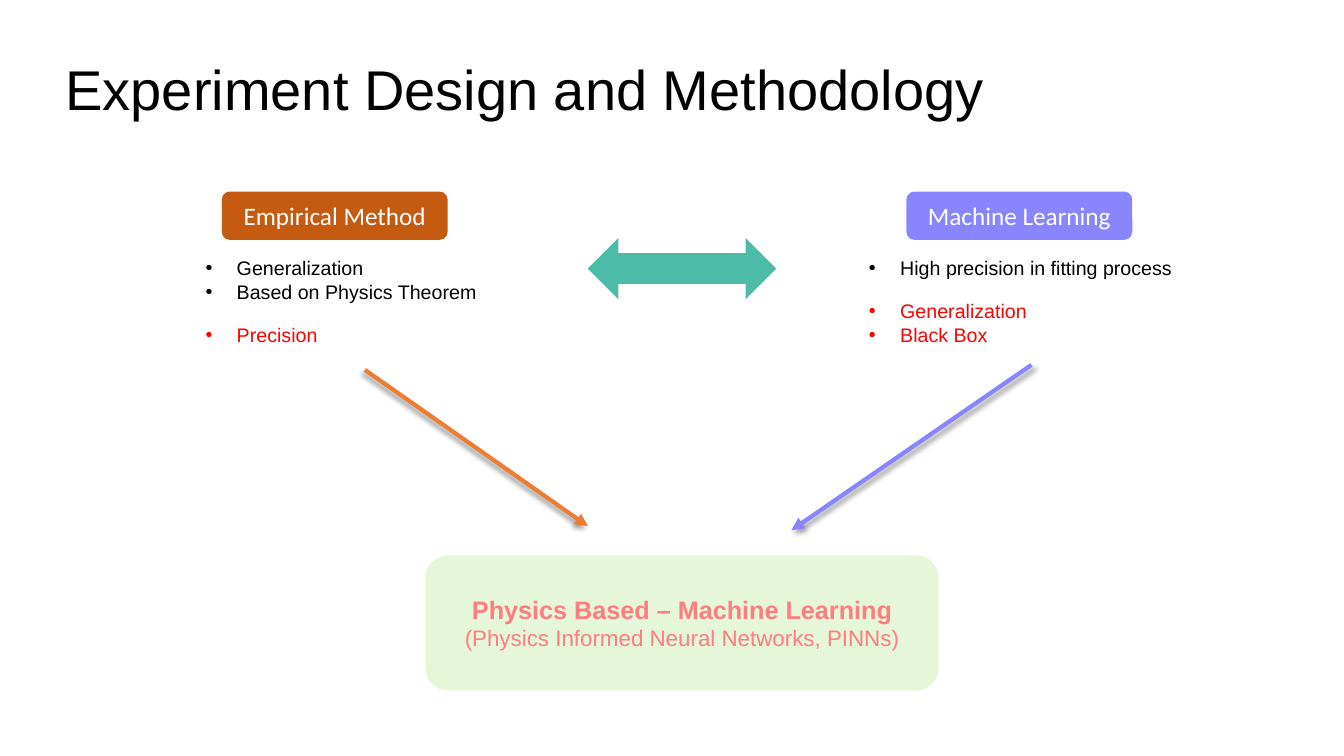
from typing import NamedTuple

from lxml.etree import SubElement
from pptx import Presentation
from pptx.dml.color import RGBColor
from pptx.enum.shapes import MSO_CONNECTOR, MSO_SHAPE
from pptx.enum.text import MSO_ANCHOR, MSO_AUTO_SIZE, PP_ALIGN
from pptx.oxml.ns import qn
from pptx.shapes.autoshape import Shape
from pptx.slide import Slide
from pptx.text.text import Font
from pptx.util import Emu, Pt

PX = 9144  # 100 px to the inch
BLACK, WHITE, RED = "000000", "FFFFFF", "FF0000"
RUST, ORANGE, VIOLET = "C55A11", "ED7D31", "8885FF"
TEAL, PALE_GREEN, PINK = "4CBCA9", "E6F6D8", "FF7C80"
BULLET_INDENT = 31


class Area(NamedTuple):
    left: int
    top: int
    width: int
    height: int


class Line(NamedTuple):
    text: str
    size: int
    color: str
    face: str = "Arial"
    bold: bool = False


class Block(NamedTuple):
    kind: MSO_SHAPE
    area: Area
    fill: str
    lines: tuple[Line, ...] = ()


class BulletList(NamedTuple):
    area: Area
    color: str
    items: tuple[str, ...]


class Arrow(NamedTuple):
    start: tuple[int, int]
    end: tuple[int, int]
    color: str
    shadow_angle: int


BLOCKS = (
    Block(MSO_SHAPE.ROUNDED_RECTANGLE, Area(220, 190, 224, 48), RUST,
          (Line("Empirical Method", 18, WHITE, "Calibri"),)),
    Block(MSO_SHAPE.ROUNDED_RECTANGLE, Area(899, 190, 224, 48), VIOLET,
          (Line("Machine Learning", 18, WHITE, "Calibri"),)),
    Block(MSO_SHAPE.LEFT_RIGHT_ARROW, Area(583, 236, 187, 61), TEAL),
    Block(MSO_SHAPE.ROUNDED_RECTANGLE, Area(422, 551, 509, 134), PALE_GREEN,
          (Line("Physics Based – Machine Learning", 18, PINK, bold=True),
           Line("(Physics Informed Neural Networks, PINNs)", 16, PINK))),
)
BULLET_LISTS = (
    BulletList(Area(194, 249, 307, 57), BLACK,
               ("Generalization", "Based on Physics Theorem")),
    BulletList(Area(852, 249, 328, 34), BLACK,
               ("High precision in fitting process",)),
    BulletList(Area(194, 315, 137, 34), RED, ("Precision",)),
    BulletList(Area(852, 292, 178, 57), RED, ("Generalization", "Black Box")),
)
ARROWS = (
    Arrow((362, 367), (583, 522), ORANGE, 135),
    Arrow((1023, 362), (785, 526), VIOLET, 45),
)


def px(*lengths: int) -> list[Emu]:
    return [Emu(length * PX) for length in lengths]


def rgb(color: str) -> RGBColor:
    return RGBColor.from_string(color)


def style_font(font: Font, line: Line) -> None:
    font.name = line.face
    font.size = Pt(line.size)
    font.bold = line.bold
    font.color.rgb = rgb(line.color)


def write_lines(shape: Shape, lines: tuple[Line, ...], align: PP_ALIGN,
                bulleted: bool = False) -> None:
    frame = shape.text_frame
    frame.word_wrap = True
    for index, line in enumerate(lines):
        para = frame.add_paragraph() if index else frame.paragraphs[0]
        para.text = line.text
        para.alignment = align
        if bulleted:
            [indent] = px(BULLET_INDENT)
            properties = para._p.get_or_add_pPr()
            properties.set("marL", str(indent))
            properties.set("indent", str(-indent))
            SubElement(properties, qn("a:buFont"), typeface="Arial")
            SubElement(properties, qn("a:buChar"), char="•")
        style_font(para.font, line)


def add_title(page: Slide, text: str) -> None:
    title = page.shapes.title
    title.left, title.top, title.width, title.height = px(55, 43, 934, 98)
    write_lines(title, (Line(text, 40, BLACK),), PP_ALIGN.LEFT)
    title.text_frame.vertical_anchor = MSO_ANCHOR.MIDDLE
    title.text_frame.auto_size = MSO_AUTO_SIZE.NONE
    title.text_frame.paragraphs[0].line_spacing = 0.9


def add_block(page: Slide, block: Block) -> None:
    shape = page.shapes.add_shape(block.kind, *px(*block.area))
    shape.shadow.inherit = False
    shape.fill.solid()
    shape.fill.fore_color.rgb = rgb(block.fill)
    shape.line.fill.background()
    shape.text_frame.vertical_anchor = MSO_ANCHOR.MIDDLE
    write_lines(shape, block.lines, PP_ALIGN.CENTER)


def add_bullet_list(page: Slide, bullets: BulletList) -> None:
    box = page.shapes.add_textbox(*px(*bullets.area))
    lines = tuple(Line(item, 14, bullets.color) for item in bullets.items)
    write_lines(box, lines, PP_ALIGN.LEFT, bulleted=True)
    box.text_frame.auto_size = MSO_AUTO_SIZE.SHAPE_TO_FIT_TEXT


def add_arrow(page: Slide, arrow: Arrow) -> None:
    """Draw a line with a triangle at its end and a soft shadow."""
    connector = page.shapes.add_connector(
        MSO_CONNECTOR.STRAIGHT, *px(*arrow.start, *arrow.end))
    connector.line.width = Pt(3)
    connector.line.color.rgb = rgb(arrow.color)
    SubElement(connector.line._get_or_add_ln(), qn("a:tailEnd"), type="triangle")
    effects = SubElement(connector._element.spPr, qn("a:effectLst"))
    shadow = SubElement(effects, qn("a:outerShdw"), blurRad=str(Pt(4)),
                        dist=str(Pt(3)), dir=str(arrow.shadow_angle * 60000),
                        algn="tl", rotWithShape="0")
    color = SubElement(shadow, qn("a:srgbClr"), val=BLACK)
    SubElement(color, qn("a:alpha"), val="40000")


def main() -> None:
    deck = Presentation()
    deck.slide_width, deck.slide_height = px(1333, 750)
    page = deck.slides.add_slide(deck.slide_layouts.get_by_name("Title Only"))
    add_title(page, "Experiment Design and Methodology")
    for block in BLOCKS:
        add_block(page, block)
    for bullets in BULLET_LISTS:
        add_bullet_list(page, bullets)
    for arrow in ARROWS:
        add_arrow(page, arrow)
    deck.save("out.pptx")


if __name__ == "__main__":
    main()
